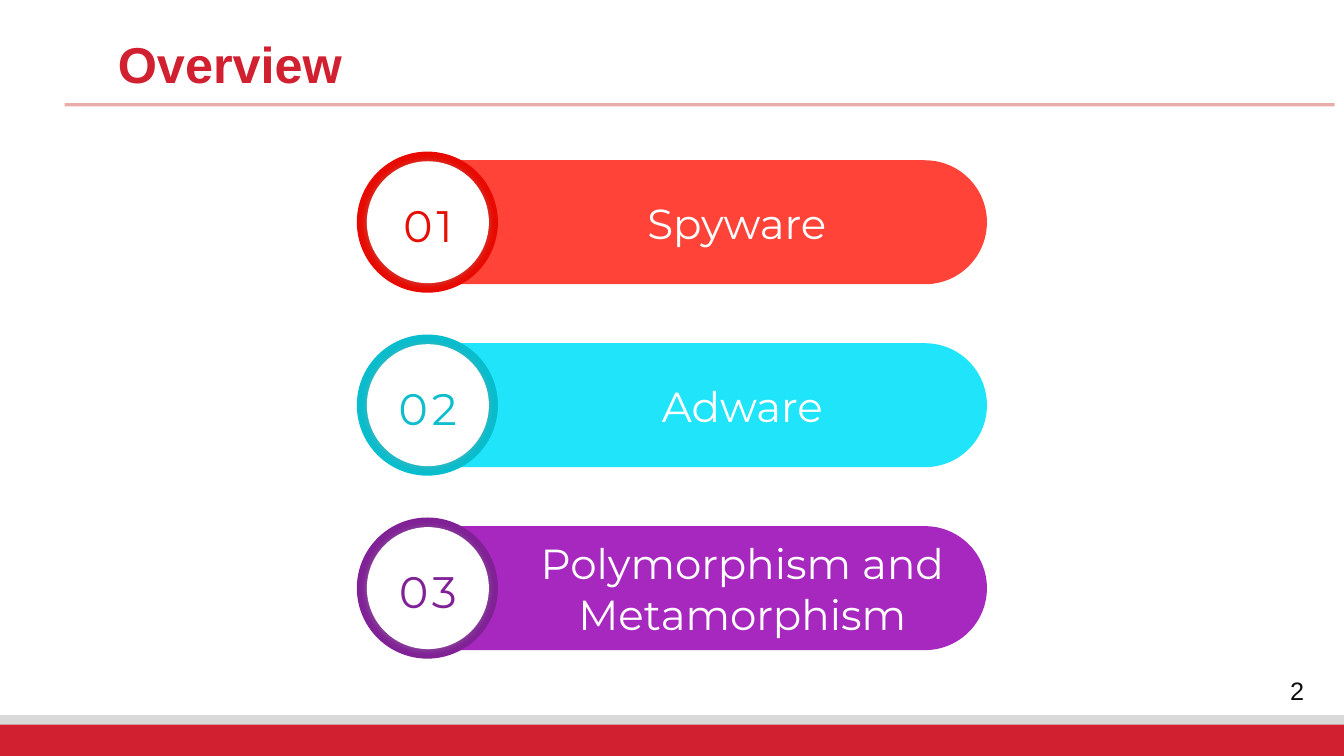
"""Build the overview slide: three numbered pills between a header and a footer."""
from dataclasses import dataclass
from typing import Any, NamedTuple

from lxml import etree
from pptx import Presentation
from pptx.dml.color import RGBColor
from pptx.enum.shapes import MSO_CONNECTOR, MSO_SHAPE
from pptx.enum.text import MSO_ANCHOR, PP_ALIGN
from pptx.oxml.ns import qn
from pptx.util import Emu, Inches, Pt

RECT, ROUND, OVAL = MSO_SHAPE.RECTANGLE, MSO_SHAPE.ROUNDED_RECTANGLE, MSO_SHAPE.OVAL
STRAIGHT = MSO_CONNECTOR.STRAIGHT
LEFT, CENTER = PP_ALIGN.LEFT, PP_ALIGN.CENTER
TOP, MIDDLE = MSO_ANCHOR.TOP, MSO_ANCHOR.MIDDLE
WIDE, HIGH = Inches(13.33), Inches(7.5)
STEP = 24.2


@dataclass(frozen=True)
class Theme:
    """Colours, fonts and type sizes."""
    brand: str = "D1202F"
    grey: str = "D9D9D9"
    rule: str = "C00000"
    ink: str = "0D0D0D"
    white: str = "FFFFFF"
    shade: str = "A6A6A6"
    sans: str = "Arial"
    round: str = "Montserrat"
    title: float = 36
    label: float = 30
    count: float = 31.5
    page: float = 18


class Box(NamedTuple):
    """Left, top, width and height in percent of the slide."""
    left: float
    top: float
    width: float
    height: float

    def down(self, gap: float) -> "Box":
        """Return the box moved down."""
        return self._replace(top=self.top + gap)

    def size(self) -> tuple[Emu, Emu, Emu, Emu]:
        """Return the box in slide lengths."""
        return (Emu(int(WIDE * self.left / 100)), Emu(int(HIGH * self.top / 100)),
                Emu(int(WIDE * self.width / 100)), Emu(int(HIGH * self.height / 100)))


class Pill(NamedTuple):
    """One numbered topic."""
    count: str
    label: str
    bar: str
    ring: str
    digit: str


THEME = Theme()
PILLS = [
    Pill("01", "Spyware ", "FF4338", "E80A00", "E60D03"),
    Pill("02", "Adware", "20E4F9", "08BDCD", "10BDCC"),
    Pill("03", "Polymorphism and Metamorphism", "A728BE", "802196", "802196"),
]
BAR = Box(29.25, 21.2, 44.18, 16.4)
RING = Box(26.55, 20.05, 10.5, 18.67)
HOLE = Box(27.3, 21.33, 9.08, 16.13)
COUNT = Box(27.3, 25.07, 9.08, 8.8)
LABEL = Box(37.05, 21.47, 36.38, 15.87)
BANDS = [(Box(0, 94.6, 100, 5.4), THEME.grey), (Box(0, 95.85, 100, 4.15), THEME.brand)]


def shape(host: Any, kind: Any, box: Box, fill: str) -> Any:
    """Add a flat filled shape."""
    form = host.add_shape(kind, *box.size())
    form.shadow.inherit = False
    form.fill.solid()
    form.fill.fore_color.rgb = RGBColor.from_string(fill)
    form.line.fill.background()
    return form


def write(host: Any, box: Box, text: str, color: str, face: dict[str, Any],
          align: Any = CENTER, anchor: Any = MIDDLE, foot: float = 0.05) -> Any:
    """Add a wrapped text box and return its paragraph."""
    frame = host.add_textbox(*box.size()).text_frame
    for name, value in {"word_wrap": True, "vertical_anchor": anchor,
                        "margin_bottom": Inches(foot)}.items():
        setattr(frame, name, value)
    para = frame.paragraphs[0]
    para.alignment = align
    run = para.add_run()
    run.text = text
    for name, value in face.items():
        setattr(run.font, name, value)
    run.font.color.rgb = RGBColor.from_string(color)
    return para


def tint(node: Any, color: str, share: int) -> None:
    """Add a partly clear colour to an XML node."""
    tone = etree.SubElement(node, qn("a:srgbClr"), val=color)
    etree.SubElement(tone, qn("a:alpha"), val=str(share * 1000))


def glow(form: Any) -> None:
    """Give a shape a soft shadow."""
    list_ = form.element.spPr.find(qn("a:effectLst"))
    soft = etree.SubElement(list_, qn("a:outerShdw"), blurRad=str(Pt(5)),
                            dist="0", dir="0", algn="ctr", rotWithShape="0")
    tint(soft, THEME.shade, 40)


def rule(host: Any) -> None:
    """Draw the pale line under the title."""
    x, y, width, _ = Box(4.8, 13.85, 94.5, 0).size()
    line = host.add_connector(STRAIGHT, x, y, x + width, y)
    line.line.width = Pt(2.25)
    line.line.fill.solid()
    fill = line.line.fill
    fill.fore_color.rgb = RGBColor.from_string(THEME.rule)
    node = line.element.spPr.find(".//" + qn("a:solidFill"))
    node.clear()
    tint(node, THEME.rule, 33)
    etree.SubElement(line.element.spPr, qn("a:effectLst"))


def draw(host: Any, pill: Pill, gap: float) -> None:
    """Draw one pill as a group."""
    group = host.add_group_shape().shapes
    shape(group, ROUND, BAR.down(gap), pill.bar).adjustments[0] = 0.5
    shape(group, OVAL, RING.down(gap), pill.ring)
    glow(shape(group, OVAL, HOLE.down(gap), THEME.white))
    face = {"name": THEME.round, "size": Pt(THEME.count)}
    para = write(group, COUNT.down(gap), pill.count, pill.digit, face, foot=0)
    para.runs[0].font._element.set("spc", "300")
    face = {"name": THEME.round, "size": Pt(THEME.label)}
    write(group, LABEL.down(gap), pill.label, THEME.white, face)


def main() -> None:
    """Build and save the slide."""
    deck = Presentation()
    deck.slide_width, deck.slide_height = WIDE, HIGH
    host = deck.slides.add_slide(deck.slide_layouts[6]).shapes
    for box, fill in BANDS:
        shape(host, RECT, box, fill)
    rule(host)
    face = {"name": THEME.sans, "size": Pt(THEME.page)}
    write(host, Box(93.1, 88.67, 6.83, 5.2), "2", THEME.ink, face)
    face = {"name": THEME.sans, "size": Pt(THEME.title), "bold": True}
    para = write(host, Box(8.03, 4.67, 46.66, 6.4), "Overview", THEME.brand, face, LEFT, TOP)
    para.line_spacing = 0.9
    for row, pill in enumerate(PILLS):
        draw(host, pill, row * STEP)
    deck.save("out.pptx")


if __name__ == "__main__":
    main()
